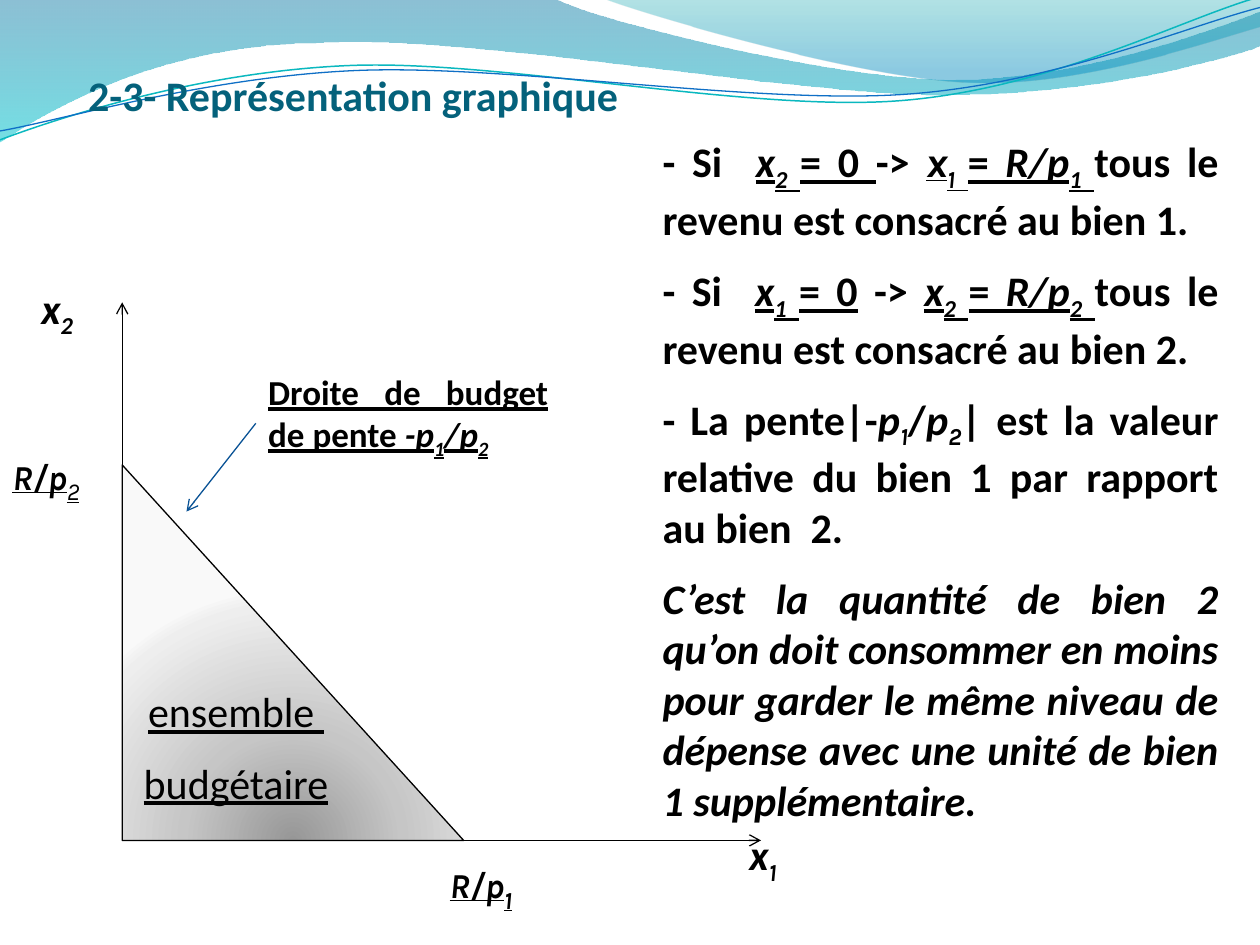
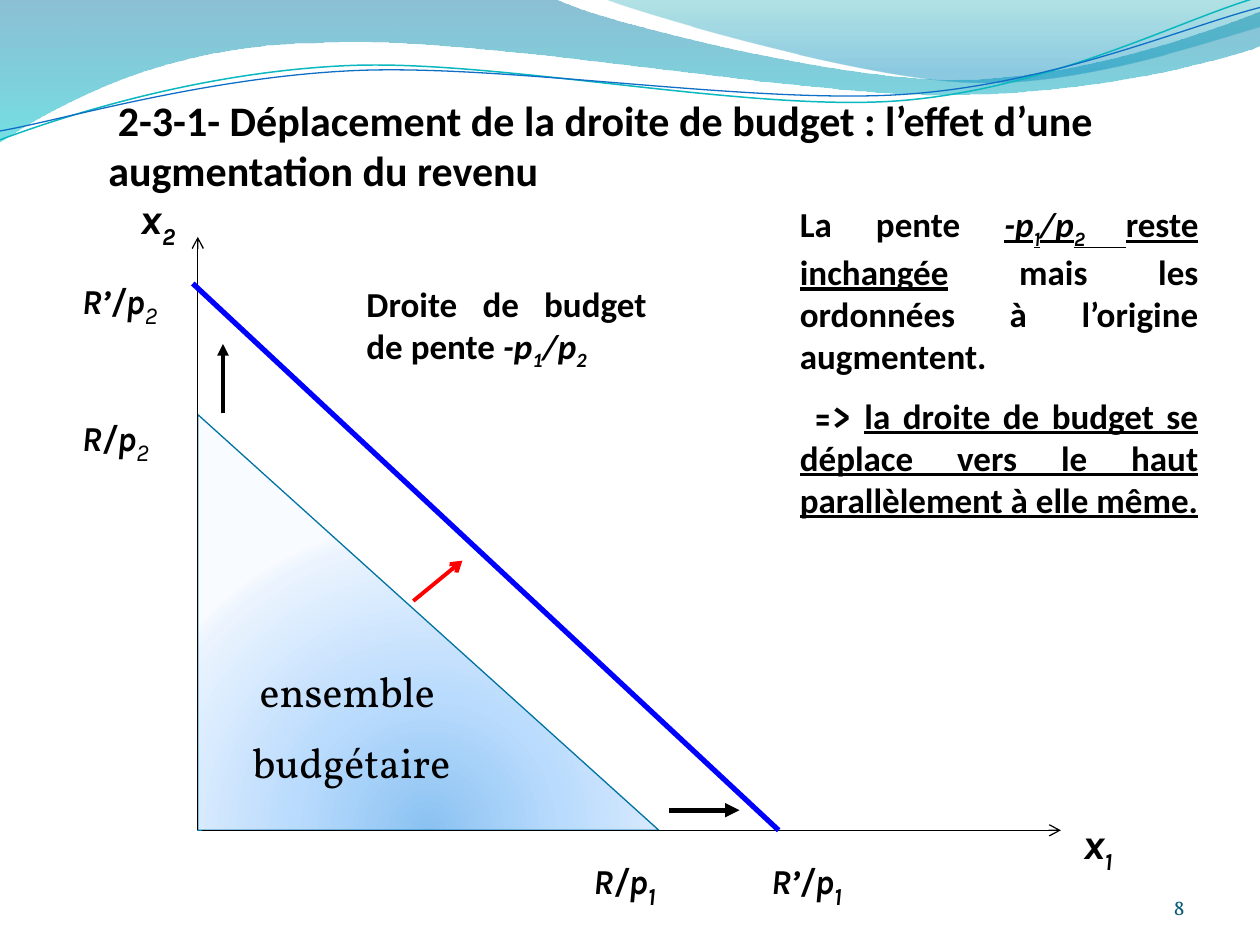
import math
from dataclasses import dataclass

from lxml import etree
from pptx import Presentation
from pptx import util as u
from pptx.dml.color import RGBColor
from pptx.enum import shapes, text
from pptx.oxml.ns import qn

ALIGN = text.PP_ALIGN
ANCHOR = text.MSO_ANCHOR


@dataclass(frozen=True)
class Theme:
    body_font: str = "Calibri"
    math_font: str = "Karla"
    serif_font: str = "Vollkorn"
    large: int = 24
    medium: int = 20
    small: int = 12
    ink: str = "000000"
    title: str = "04617B"
    number: str = "045D75"
    pointer: str = "095295"
    new_budget: str = "0000FF"
    shift: str = "FF0000"
    triangle_edge: str = "0074A1"
    # Gradient stops: position, colour, opacity (all in per cent)
    wave: tuple = ((0, "0074A1", 45), (100, "00C6CF", 55))
    crest: tuple = ((0, "00A1A9", 30), (80, "008BBF", 45))
    grey: tuple = ((0, "979797", 100), (43, "C6C6C6", 100),
                   (93, "EEEEEE", 100), (100, "F9F9F9", 100))
    blue: tuple = ((0, "8BC2F1", 100), (43, "B9DBFD", 100),
                   (93, "EAF3FE", 100), (100, "F8FBFF", 100))
    teal_line: str = "0AB8BF"
    blue_line: str = "0F6FC6"


THEME = Theme()


@dataclass(frozen=True)
class Box:
    left: float
    top: float
    width: float
    height: float

    @property
    def right(self):
        return self.left + self.width

    @property
    def bottom(self):
        return self.top + self.height

    def lengths(self):
        return [u.Inches(v) for v in (self.left, self.top, self.width, self.height)]


def set_all(target, values):
    for name, value in values.items():
        setattr(target, name, value)


def add_child(parent, tag, **attributes):
    child = etree.SubElement(parent, qn(tag))
    for name, value in attributes.items():
        child.set(name, str(value))
    return child


def fill_gradient(shape, stops, radial=False):
    shape.fill.gradient()
    gradient = shape.element.spPr.find(qn("a:gradFill"))
    for child in list(gradient):
        gradient.remove(child)
    stop_list = add_child(gradient, "a:gsLst")
    for position, colour, opacity in stops:
        stop = add_child(stop_list, "a:gs", pos=position * 1000)
        rgb = add_child(stop, "a:srgbClr", val=colour)
        if opacity < 100:
            add_child(rgb, "a:alpha", val=opacity * 1000)
    if radial:
        circle = add_child(gradient, "a:path", path="circle")
        add_child(circle, "a:fillToRect", l=50000, t=130000, r=50000, b=-30000)
    else:
        add_child(gradient, "a:lin", ang=90 * 60000, scaled=1)


def set_line(shape, colour, width):
    shape.line.color.rgb = RGBColor.from_string(colour)
    shape.line.width = u.Pt(width)


def write(frame, paragraphs, size, font=THEME.body_font, colour=THEME.ink,
          align=ALIGN.LEFT, spaced=True):
    """Fill a frame with paragraphs of (text, flags) runs.

    Flags: b bold, i italic, u underlined, k maths font, _ subscript, + large.
    """
    for index, runs in enumerate(paragraphs):
        paragraph = frame.add_paragraph() if index else frame.paragraphs[0]
        paragraph.alignment = align
        paragraph.space_before = u.Pt(size / 2 if spaced else 0)
        for words, flags in runs:
            run = paragraph.add_run()
            run.text = words
            set_all(run.font, {
                "name": THEME.math_font if "k" in flags else font,
                "size": u.Pt(THEME.large if "+" in flags else size),
                "bold": "b" in flags,
                "italic": "i" in flags,
                "underline": "u" in flags,
            })
            run.font.color.rgb = RGBColor.from_string(colour)
            if "_" in flags:
                run._r.get_or_add_rPr().set("baseline", "-25000")


def add_text(slide, box, paragraphs, size, wrap=True, anchor=ANCHOR.TOP, **style):
    frame = slide.shapes.add_textbox(*box.lengths()).text_frame
    set_all(frame, {"word_wrap": wrap, "vertical_anchor": anchor})
    write(frame, paragraphs, size, **style)


def add_line(slide, start, end, colour=THEME.ink, width=0.75, arrow=None):
    line = slide.shapes.add_connector(
        shapes.MSO_CONNECTOR.STRAIGHT, *[u.Inches(v) for v in (*start, *end)])
    set_line(line, colour, width)
    if arrow:
        add_child(line.line._get_or_add_ln(), "a:tailEnd", type=arrow)
    add_child(line.element.spPr, "a:effectLst")


def turn(point, centre, degrees):
    angle = math.radians(degrees)
    x, y = point[0] - centre[0], point[1] - centre[1]
    return (centre[0] + x * math.cos(angle) - y * math.sin(angle),
            centre[1] + x * math.sin(angle) + y * math.cos(angle))


def draw_curve(slide, start, segments, close, tilt=0, centre=(0, 0)):
    """Outline of straight (2 numbers) and Bézier (6 numbers) segments."""
    points = [start]
    for segment in segments:
        points += zip(segment[::2], segment[1::2])
    points = [tuple(u.Inches(v) for v in turn(point, centre, -tilt)) for point in points]
    builder = slide.shapes.build_freeform(*points[0])
    builder.add_line_segments(points[1:], close=close)
    shape = builder.convert_to_shape()
    set_all(shape, {"rotation": tilt})
    shape.shadow.inherit = False
    steps = iter(list(shape.element.spPr.iter(qn("a:lnTo"))))
    for segment in segments:
        step = next(steps)
        if len(segment) == 6:
            step.tag = qn("a:cubicBezTo")
            for _ in range(2):
                control = next(steps)
                step.append(control[0])
                control.getparent().remove(control)
    return shape


def add_waves(presentation, layout):
    """Draw the top waves once and keep them on the shared layout."""
    bands = (
        ((0, -0.01), [(4.4, -0.01), (4.76, 0.17, 6.64, 0.63, 7.58, 0.63),
                      (8.53, 0.63, 9.58, 0.26, 10, 0.09), (10.01, 0.36),
                      (9.83, 0.44, 8.7, 0.76, 7.46, 0.75),
                      (6.22, 0.75, 3.82, 0.28, 2.57, 0.34),
                      (1.29, 0.35, 0.46, 0.83, -0.01, 1.13), (0, -0.01)], THEME.wave),
        ((4.79, -0.01), [(5.09, 0.11, 6.82, 0.62, 7.69, 0.65),
                         (8.56, 0.69, 9.61, 0.32, 10, 0.21), (10, 0),
                         (4.79, -0.01)], THEME.crest),
    )
    strands = (
        ((0, 1.11), [(0.48, 0.93, 1.58, 0.57, 2.77, 0.52),
                     (3.95, 0.47, 5.93, 0.89, 7.13, 0.8),
                     (8.33, 0.71, 9.38, 0.15, 9.98, -0.02)],
         (4.99, 0.58), THEME.teal_line, 0.85),
        ((0, 1.04), [(0.47, 0.96, 1.64, 0.61, 2.83, 0.56),
                     (4.03, 0.51, 5.97, 0.83, 7.17, 0.75),
                     (8.36, 0.67, 9.41, 0.21, 10, 0.06)],
         (5, 0.59), THEME.blue_line, 0.75),
    )
    slide = presentation.slides[0]
    waves = []
    for start, segments, stops in bands:
        band = draw_curve(slide, start, segments, close=True)
        fill_gradient(band, stops)
        band.line.fill.background()
        waves.append(band)
    for start, segments, centre, colour, width in strands:
        strand = draw_curve(slide, start, segments, False, -2.7, centre)
        strand.fill.background()
        set_line(strand, colour, width)
        waves.append(strand)
    for number, wave in enumerate(waves, start=101):
        wave.element.nvSpPr.cNvPr.set("id", str(number))
        layout.element.cSld.spTree.append(wave.element)


def set_title(slide, box, words, colour):
    title = slide.shapes.title
    title.left, title.top, title.width, title.height = box.lengths()
    frame = title.text_frame
    set_all(frame, {
        "margin_left": 0, "margin_right": 0, "margin_bottom": 0,
        "margin_top": u.Inches(0.05), "word_wrap": True,
        "vertical_anchor": ANCHOR.BOTTOM, "auto_size": text.MSO_AUTO_SIZE.NONE,
    })
    write(frame, [[(words, "b")]], THEME.large, colour=colour, spaced=False)


def slope(flags):
    return [("-p", flags), ("1", flags + "_"), ("/p", flags), ("2", flags + "_")]


def add_slope_label(slide, left, top, underline=""):
    add_text(slide, Box(left, top, 2.42, 0.77),
             [[("Droite de budget de pente ", "b" + underline), *slope("bi" + underline)]],
             THEME.medium, align=ALIGN.JUSTIFY)


def add_intercept(slide, left, top, income, good, underline=""):
    """Label such as R/p₁ beside the point where a budget line meets an axis."""
    weight = "b" if good == "1" else ""
    add_text(slide, Box(left, top, 0.9, 0.44),
             [[(income + "/p", "bik" + underline), (good, "ik_+" + weight + underline)]],
             THEME.medium, wrap=False)


def draw_budget_set(slide, box, width, height, stops, edge, font, underline=""):
    """Axes along the box's left and bottom sides, and the triangle in their corner."""
    corner = Box(box.left, box.bottom - height, width, height)
    triangle = slide.shapes.add_shape(shapes.MSO_SHAPE.RIGHT_TRIANGLE, *corner.lengths())
    triangle.shadow.inherit = False
    fill_gradient(triangle, stops, radial=True)
    set_line(triangle, edge, 0.75)
    set_all(triangle.text_frame, {"word_wrap": False, "vertical_anchor": ANCHOR.MIDDLE})
    write(triangle.text_frame, [[("ensemble ", underline)], [("budgétaire", underline)]],
          THEME.large, font=font, align=ALIGN.CENTER)
    add_line(slide, (box.left, box.bottom), (box.left, box.top), arrow="arrow")
    add_line(slide, (box.left + 0.03, box.bottom), (box.right, box.bottom), arrow="arrow")


def add_axis_name(slide, left, top, name_flags, good, good_flags):
    add_text(slide, Box(left, top, 0.6, 0.5),
             [[("x", name_flags), (good, good_flags + "_")]], THEME.large)


def draw_first_graph(slide, box):
    draw_budget_set(slide, box, 2.71, 2.98, THEME.grey, THEME.ink, THEME.body_font, "u")
    add_axis_name(slide, box.left - 0.74, box.top - 0.21, "bi", "2", "bi")
    add_axis_name(slide, box.right - 0.19, box.bottom - 0.14, "bi", "1", "bik")
    add_intercept(slide, box.left - 0.97, box.top + 1.11, "R", "2", "u")
    add_intercept(slide, box.left + 2.5, box.bottom + 0.08, "R", "1", "u")
    add_slope_label(slide, box.left + 1.06, box.top + 0.49, "u")
    add_line(slide, (box.left + 1.06, box.top + 0.96), (box.left + 0.51, box.top + 1.66),
             THEME.pointer, arrow="arrow")


def draw_shifted_graph(slide, box):
    draw_budget_set(slide, box, 3.66, 3.3, THEME.blue, THEME.triangle_edge, THEME.serif_font)
    add_axis_name(slide, box.left - 0.55, box.top - 0.4, "bik", "2", "bik")
    add_axis_name(slide, box.right + 0.08, box.bottom - 0.15, "bik", "1", "bik")
    for income, rise, run in (("R", 1.32, 3.04), ("R’", 0.23, 4.45)):
        add_intercept(slide, box.left - 1.02, box.top + rise, income, "2")
        add_intercept(slide, box.left + run, box.bottom + 0.13, income, "1")
    add_slope_label(slide, box.left + 1.24, box.top + 0.31)
    for start, end, colour, width, arrow in (
            ((-0.04, 0.37), (4.61, 4.71), THEME.new_budget, 3, None),
            ((0.2, 1.4), (0.2, 0.85), THEME.ink, 2.25, "triangle"),
            ((3.74, 4.55), (4.3, 4.55), THEME.ink, 2.75, "triangle"),
            ((1.71, 2.89), (2.1, 2.57), THEME.shift, 2.25, "arrow")):
        add_line(slide, *[(box.left + x, box.top + y) for x, y in (start, end)],
                 colour, width, arrow)


def add_intercept_notes(slide, box):
    spent = "tous le revenu est consacré au bien {}."
    add_text(slide, box, [
        [("- Si  ", "b"), ("x", "biu"), ("2 ", "biu_"), ("= 0 ", "bu"), ("-> ", "b"),
         ("x", "biuk"), ("1 ", "biuk_"), ("= ", "bu"), ("R/p", "biu"), ("1 ", "biu_"),
         (spent.format(1), "b")],
        [("- Si  ", "b"), ("x", "biu"), ("1 ", "biu_"), ("= 0", "bu"), (" -> ", "b"),
         ("x", "biu"), ("2 ", "biu_"), ("= ", "bu"), ("R/p", "biu"), ("2 ", "biu_"),
         (spent.format(2), "b")],
        [("- La pente|-", "b"), ("p", "bi"), ("1", "bik_"), ("/", "b"), ("p", "bi"),
         ("2", "bik_"), ("| est la valeur relative du bien 1 par rapport au bien  2.", "b")],
        [("C’est la quantité de bien 2 qu’on doit consommer en moins pour garder le même "
          "niveau de dépense avec une unité de bien 1 supplémentaire.", "bi")],
    ], THEME.large, align=ALIGN.JUSTIFY)


def add_shift_notes(slide, box):
    add_text(slide, box, [
        [("La pente ", "b"), ("-p", "biu"), ("1", "biuk_"), ("/p", "biu"), ("2 ", "biuk_"),
         ("reste inchangée", "bu"), (" mais les ordonnées à l’origine augmentent.", "b")],
        [(" => ", "bk"),
         ("la droite de budget se déplace vers le haut parallèlement à elle même.", "bu")],
    ], THEME.medium, align=ALIGN.JUSTIFY)


def main():
    presentation = Presentation()
    presentation.slide_width, presentation.slide_height = u.Inches(10), u.Inches(7.5)
    layout = presentation.slide_layouts[5]
    graph, shift = [presentation.slides.add_slide(layout) for _ in range(2)]
    add_waves(presentation, layout)

    set_title(graph, Box(0.7, 0.39, 7.27, 0.56), "2-3- Représentation graphique", THEME.title)
    draw_first_graph(graph, Box(0.97, 2.4, 5.07, 4.27))
    add_intercept_notes(graph, Box(5.16, 1.03, 4.61, 5.55))

    set_title(shift, Box(0.86, 0.47, 8.2, 1.08),
              " 2-3-1- Déplacement de la droite de budget : l’effet d’une "
              "augmentation du revenu", THEME.ink)
    draw_shifted_graph(shift, Box(1.57, 1.88, 6.85, 4.71))
    add_shift_notes(shift, Box(6.25, 1.56, 3.36, 2.63))
    add_text(shift, Box(7.17, 6.83, 2.33, 0.52), [[("8", "")]], THEME.small,
             anchor=ANCHOR.BOTTOM, font=THEME.serif_font, colour=THEME.number,
             align=ALIGN.RIGHT, spaced=False)
    presentation.save("out.pptx")


if __name__ == "__main__":
    main()
